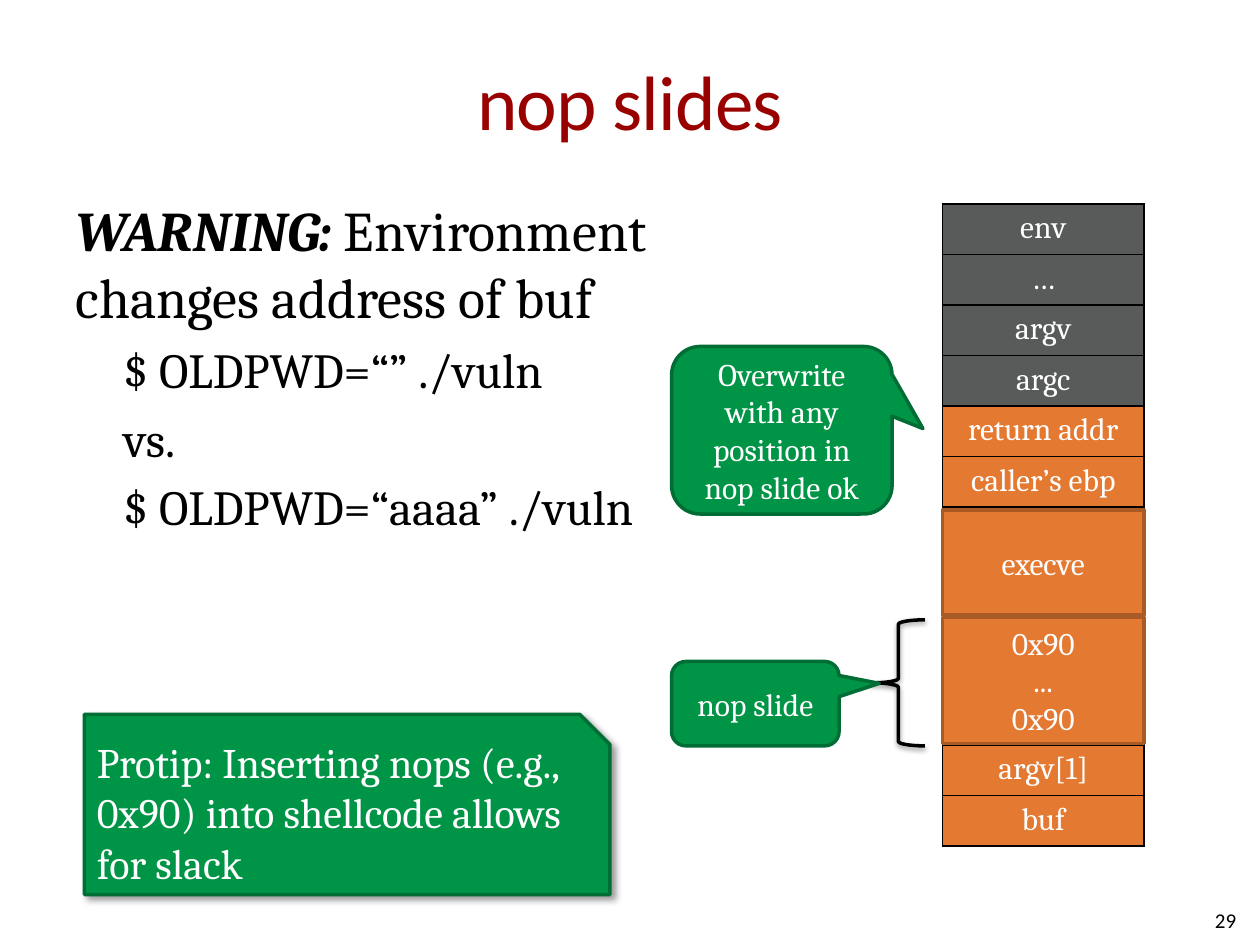
from lxml import etree
from pptx import Presentation
from pptx.dml.color import RGBColor
from pptx.enum.shapes import MSO_SHAPE
from pptx.enum.text import MSO_ANCHOR, MSO_AUTO_SIZE, PP_ALIGN
from pptx.oxml import parse_xml
from pptx.oxml.ns import nsdecls, qn
from pptx.util import Inches, Pt

LEFT, CENTER, RIGHT = PP_ALIGN.LEFT, PP_ALIGN.CENTER, PP_ALIGN.RIGHT
MIDDLE = MSO_ANCHOR.MIDDLE
NO_AUTOFIT = MSO_AUTO_SIZE.NONE
RECT, BRACE, SNIP = MSO_SHAPE.RECTANGLE, MSO_SHAPE.LEFT_BRACE, MSO_SHAPE.SNIP_1_RECTANGLE
CALLOUT = MSO_SHAPE.ROUNDED_RECTANGULAR_CALLOUT

COLORS = {
    "title": "990000", "black": "000000", "white": "FFFFFF",
    "gray": "595A5A", "orange": "E47932", "orange_edge": "A95A25",
    "green": "009446", "green_edge": "006D34",
}
HEADING_FONT, BODY_FONT = "Calibri", "Cambria"


def rgb(name):
    return RGBColor.from_string(COLORS[name])


def add_text(paragraph, text, size=18, font=BODY_FONT, color="white",
             align=None, bold=None, italic=None):
    run = paragraph.add_run()
    run.text = text
    run.font.size, run.font.name = Pt(size), font
    run.font.bold, run.font.italic = bold, italic
    run.font.color.rgb = rgb(color)
    if align is not None:
        paragraph.alignment = align
    return run


def box(left, top, width, height):
    return [Inches(value) for value in (left, top, width, height)]


class SlideBuilder:
    def __init__(self, slide):
        self.slide = slide

    def place(self, placeholder, at):
        (placeholder.left, placeholder.top,
         placeholder.width, placeholder.height) = box(*at)
        return placeholder.text_frame

    def title(self, text, at):
        frame = self.place(self.slide.shapes.title, at)
        frame.margin_left = frame.margin_right = 0
        frame.vertical_anchor, frame.auto_size = MIDDLE, NO_AUTOFIT
        run = add_text(frame.paragraphs[0], text, 44, HEADING_FONT, "title", CENTER)
        run.font._element.set("spc", "-50")

    def body(self, paragraphs, at):
        """Each paragraph is (level, size, [(text, emphasised), ...])."""
        frame = self.place(self.slide.placeholders[1], at)
        frame.auto_size = NO_AUTOFIT
        for index, (level, size, parts) in enumerate(paragraphs):
            paragraph = frame.add_paragraph() if index else frame.paragraphs[0]
            paragraph.level = level
            for text, strong in parts:
                add_text(paragraph, text, size, color="black", bold=strong, italic=strong)
            properties = paragraph._p.get_or_add_pPr()
            properties.set("marL", str(Inches(0.38 * level)))
            properties.set("indent", "0")
            etree.SubElement(properties, qn("a:buNone"))

    def label(self, text, at, **style):
        frame = self.slide.shapes.add_textbox(*box(*at)).text_frame
        frame.word_wrap, frame.vertical_anchor = True, MIDDLE
        add_text(frame.paragraphs[0], text, **style)

    def shape(self, kind, at, lines=(), fill=None, edge="black",
              size=18, align=CENTER, adjust=(), shadow=None):
        shape = self.slide.shapes.add_shape(kind, *box(*at))
        for index, value in enumerate(adjust):
            shape.adjustments[index] = value
        if fill:
            shape.fill.solid()
            shape.fill.fore_color.rgb = rgb(fill)
        else:
            shape.fill.background()
        shape.line.color.rgb, shape.line.width = rgb(edge), Pt(2)
        shape.shadow.inherit = False
        if shadow:
            self.drop_shadow(shape, *shadow)
        frame = shape.text_frame
        frame.word_wrap, frame.vertical_anchor = True, MIDDLE
        for index, line in enumerate(lines):
            paragraph = frame.add_paragraph() if index else frame.paragraphs[0]
            add_text(paragraph, line, size, align=align)

    def drop_shadow(self, shape, opacity, blur, distance, angle):
        effects = shape._element.spPr.find(qn("a:effectLst"))
        effects.append(parse_xml(
            f'<a:outerShdw {nsdecls("a")} blurRad="{Pt(blur)}" dist="{Pt(distance)}" '
            f'dir="{angle * 60000}" rotWithShape="0"><a:srgbClr val="{COLORS["black"]}">'
            f'<a:alpha val="{opacity * 1000}"/></a:srgbClr></a:outerShdw>'))

    def stack_table(self, rows, at):
        """Each row is (text, fill, height)."""
        table = self.slide.shapes.add_table(len(rows), 1, *box(*at)).table
        for index, (text, fill, height) in enumerate(rows):
            table.rows[index].height = Inches(height)
            cell = table.cell(index, 0)
            self.cell_borders(cell)
            cell.fill.solid()
            cell.fill.fore_color.rgb = rgb(fill)
            if text:
                add_text(cell.text_frame.paragraphs[0], text, align=CENTER, bold=False)

    def cell_borders(self, cell):
        properties = cell._tc.get_or_add_tcPr()
        for side in ("lnL", "lnR", "lnT", "lnB"):
            properties.append(parse_xml(
                f'<a:{side} {nsdecls("a")} w="{Pt(1)}"><a:solidFill>'
                f'<a:srgbClr val="{COLORS["black"]}"/></a:solidFill></a:{side}>'))


def main():
    deck = Presentation()
    deck.slide_width, deck.slide_height = Inches(10), Inches(7.5)
    page = SlideBuilder(deck.slides.add_slide(deck.slide_layouts[1]))

    # Title, warning and slide number
    page.title("nop slides", (0.5, 0.17, 9, 1.25))
    page.body([
        (0, 32, [("WARNING:", True), (" Environment changes address of buf", False)]),
        (1, 28, [("$ OLDPWD=“” ./vuln", False)]),
        (1, 28, [("vs.", False)]),
        (1, 28, [("$ OLDPWD=“aaaa” ./vuln", False)]),
    ], (0.5, 1.5, 4.83, 3.75))
    page.label("29", (7.58, 7.1, 2.33, 0.4), size=12, font=HEADING_FONT,
               color="black", align=RIGHT)

    # Memory stack; the tall row lies behind the shellcode blocks
    stack_left, stack_width, row_height = 7.48, 1.6, 0.4
    rows = [(text, "gray", row_height) for text in ("env", "…", "argv", "argc")]
    rows += [(text, "orange", row_height) for text in ("return addr", "caller’s ebp")]
    rows.append(("", "orange", 1.89))
    rows += [(text, "orange", row_height) for text in ("argv[1]", "buf")]
    page.stack_table(rows, (stack_left, 1.62, stack_width, 5.1))

    # Shellcode blocks
    block = {"fill": "orange", "edge": "orange_edge"}
    page.shape(RECT, (stack_left, 4.9, stack_width, 1), ["0x90", "...", "0x90"], **block)
    page.shape(RECT, (stack_left, 4.05, stack_width, 0.83), ["execve"], **block)

    # Brace, callouts and tip
    note = {"fill": "green", "edge": "green_edge"}
    page.shape(BRACE, (6.92, 4.92, 0.42, 1), shadow=(38, 3.1, 1.6, 90))
    page.shape(CALLOUT, (5.33, 2.75, 1.75, 1.33),
               ["Overwrite with any position in nop slide ok"],
               adjust=(0.64, -0.01, 0.17), **note)
    page.shape(CALLOUT, (5.33, 5.25, 1.33, 0.67), ["nop slide"],
               adjust=(0.74, -0.24, 0.17), **note)
    page.shape(SNIP, (0.67, 5.67, 4.17, 1.43),
               ["Protip: Inserting nops (e.g., 0x90) into shellcode allows for slack"],
               size=24, align=LEFT, shadow=(40, 4, 3, 45), **note)

    deck.save("out.pptx")


if __name__ == "__main__":
    main()
